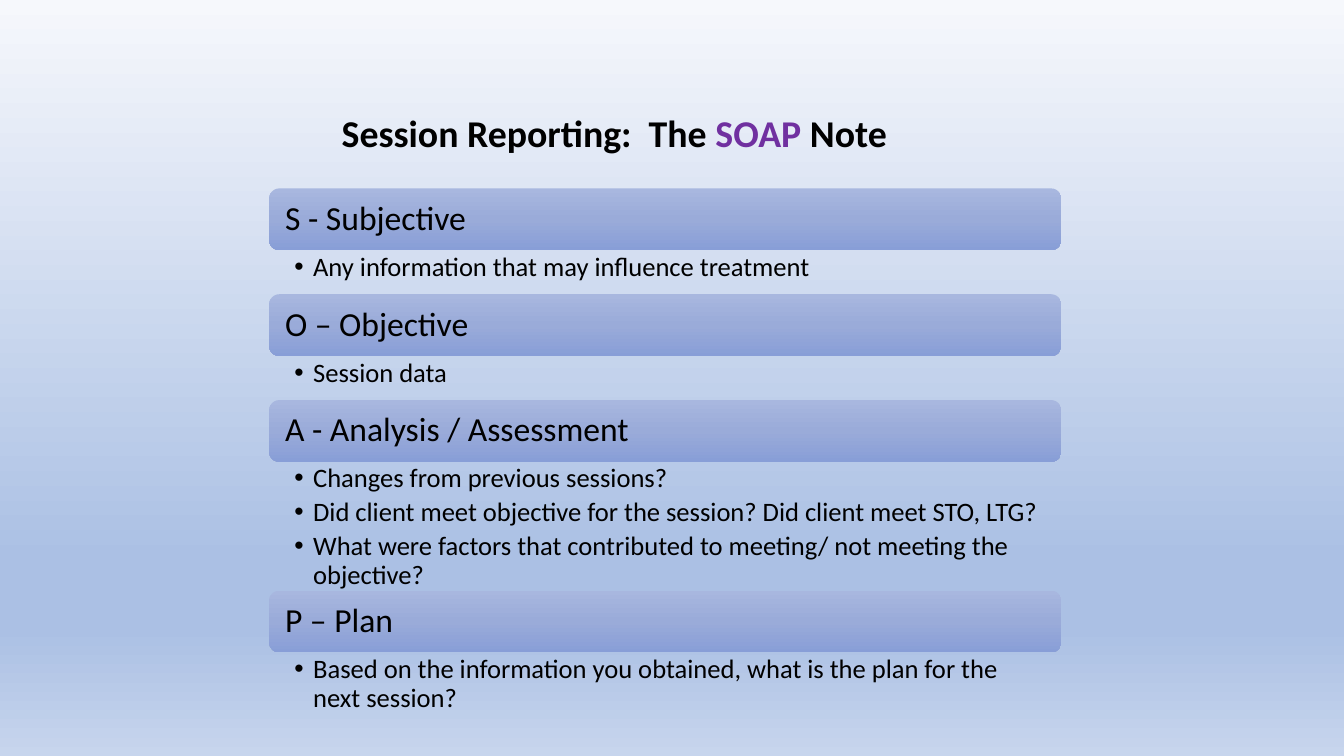
from lxml import etree
from pptx import Presentation
from pptx.dml.color import RGBColor
from pptx.enum import shapes, text
from pptx.oxml.ns import qn
from pptx.util import Pt

COLORS = {"ink": "000000", "accent": "7030A0"}
PAGE_STOPS = [(0, "F6F8FC"), (74, "ABC0E4"), (83, "ABC0E4"), (100, "C7D5ED")]
BAR_STOPS = [(0, "A8B7DF"), (50, "9AABD9"), (100, "889ED7")]
FONT = "Calibri"
BAR_HEIGHT = 44.1

TITLE = [("Session Reporting:  The ", "ink"), ("SOAP", "accent"), (" Note", "ink")]

# Heading, height of the bullet area, bullets
SECTIONS = [
    ("S - Subjective", 31.5, ["Any information that may influence treatment"]),
    ("O – Objective", 31.5, ["Session data"]),
    ("A - Analysis / Assessment", 92, [
        "Changes from previous sessions?",
        "Did client meet objective for the session? Did client meet STO, LTG?",
        "What were factors that contributed to meeting/ not meeting the objective?",
    ]),
    ("P – Plan", 44, [
        "Based on the information you obtained, what is the plan for the next session?",
    ]),
]


def fill_gradient(fill, element, stops):
    """Fill from top to bottom with any number of stops."""
    fill.gradient()
    fill.gradient_angle = 270
    stop_list = next(element.iter(qn("a:gsLst")))
    for old_stop in list(stop_list):
        stop_list.remove(old_stop)
    for percent, color in stops:
        stop = etree.SubElement(stop_list, qn("a:gs"), pos=str(percent * 1000))
        etree.SubElement(stop, qn("a:srgbClr"), val=color)


def set_frame(frame, anchor, insets):
    frame.word_wrap = True
    frame.vertical_anchor = anchor
    frame.margin_left, frame.margin_top, frame.margin_right, frame.margin_bottom = (
        Pt(inset) for inset in insets)


def write_para(para, spans, size, bold=False):
    para.alignment = text.PP_ALIGN.LEFT
    para.line_spacing = 0.9
    for words, color in spans:
        span = para.add_run()
        span.text = words
        span.font.name = FONT
        span.font.size = Pt(size)
        span.font.bold = bold
        span.font.color.rgb = RGBColor.from_string(COLORS[color])


def add_bullet(para):
    props = para._p.get_or_add_pPr()
    props.set("marL", str(Pt(13.5)))
    props.set("indent", str(-Pt(13.5)))
    etree.SubElement(props, qn("a:buFont"), typeface="Arial")
    etree.SubElement(props, qn("a:buChar"), char="•")


def draw_title(page, left, top, width, height):
    box = page.shapes.add_textbox(Pt(left), Pt(top), Pt(width), Pt(height))
    set_frame(box.text_frame, text.MSO_ANCHOR.MIDDLE, (7.2, 3.6, 7.2, 3.6))
    write_para(box.text_frame.paragraphs[0], TITLE, 27, bold=True)


def draw_bar(page, heading, left, top, width, height):
    bar = page.shapes.add_shape(
        shapes.MSO_SHAPE.ROUNDED_RECTANGLE, Pt(left), Pt(top), Pt(width), Pt(height))
    bar.shadow.inherit = False
    bar.line.fill.background()
    fill_gradient(bar.fill, bar._element, BAR_STOPS)
    set_frame(bar.text_frame, text.MSO_ANCHOR.MIDDLE, (9.3, 7.2, 9.3, 7.2))
    write_para(bar.text_frame.paragraphs[0], [(heading, "ink")], 24)


def draw_bullets(page, bullets, left, top, width, height):
    box = page.shapes.add_textbox(Pt(left), Pt(top), Pt(width), Pt(height))
    frame = box.text_frame
    set_frame(frame, text.MSO_ANCHOR.TOP, (18, 2.2, 13.7, 2.2))
    for index, bullet in enumerate(bullets):
        para = frame.add_paragraph() if index else frame.paragraphs[0]
        para.level = 1
        write_para(para, [(bullet, "ink")], 19)
        para.space_after = Pt(3.6)
        add_bullet(para)


def draw_sections(page, left, top, width):
    """Stack each heading bar on its bullets."""
    for heading, body_height, bullets in SECTIONS:
        draw_bar(page, heading, left, top, width, BAR_HEIGHT)
        top += BAR_HEIGHT
        draw_bullets(page, bullets, left, top, width, body_height)
        top += body_height


def main():
    deck = Presentation()
    deck.slide_width, deck.slide_height = Pt(960), Pt(540)
    page = deck.slides.add_slide(deck.slide_layouts[6])

    # Background
    fill_gradient(page.background.fill, page._element, PAGE_STOPS)

    # Title and the four parts of the note
    draw_title(page, 237, 68.4, 486, 56)
    draw_sections(page, 192.2, 134.6, 566)

    deck.save("out.pptx")


if __name__ == "__main__":
    main()
